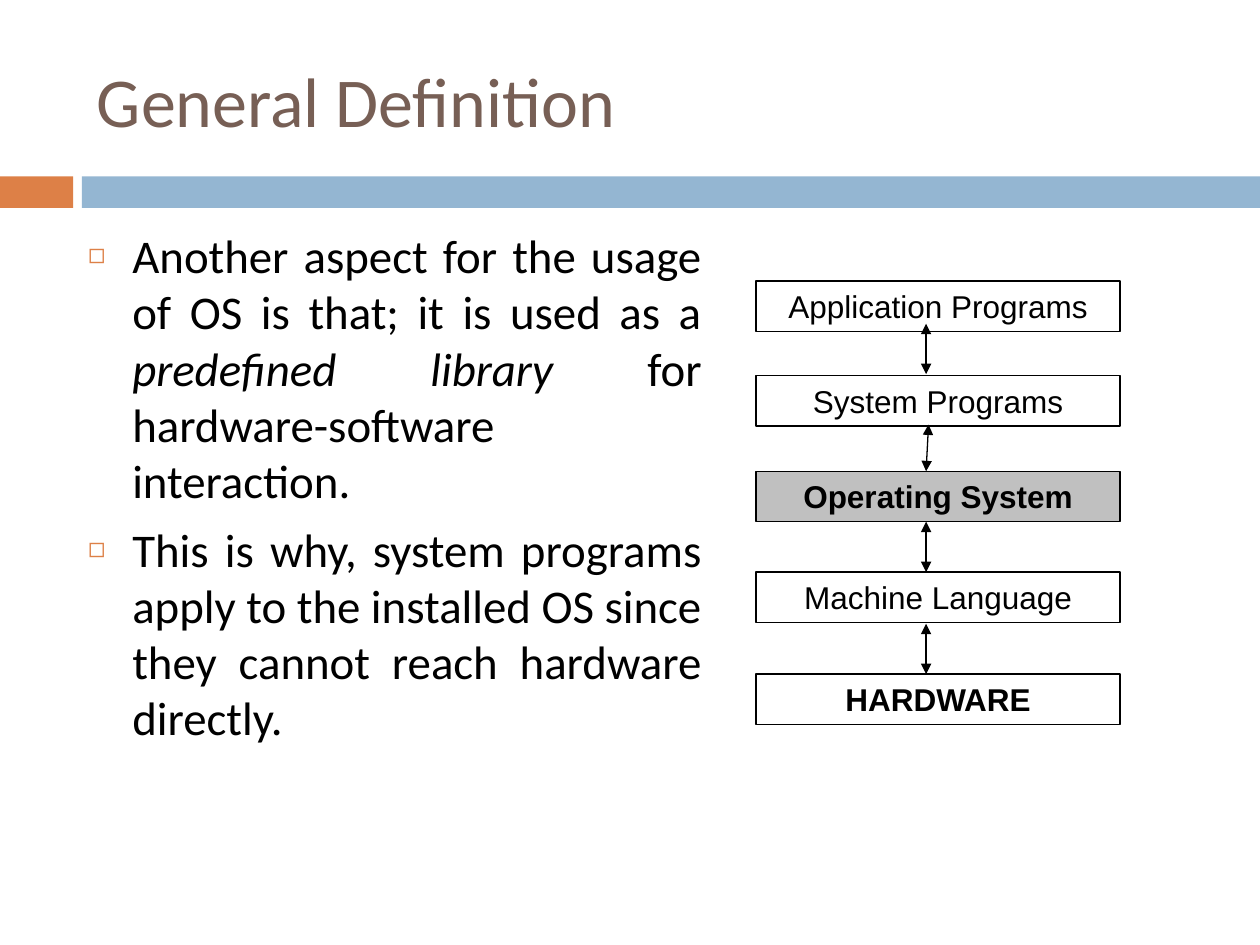
from lxml.etree import SubElement
from pptx import Presentation
from pptx.dml.color import RGBColor
from pptx.enum.shapes import MSO_CONNECTOR as Connector, MSO_SHAPE as Shape
from pptx.enum.text import MSO_ANCHOR as Anchor, MSO_AUTO_SIZE as AutoSize, PP_ALIGN as Align
from pptx.oxml.ns import qn
from pptx.util import Pt

COLORS = {"orange": "DD8047", "blue": "94B6D2", "brown": "775F55",
          "black": "000000", "white": "FFFFFF", "gray": "C0C0C0"}

TITLE = "General Definition"
# Each bullet is a list of (text, italic) runs.
BULLETS = [
    [("Another aspect for the usage of OS is that; it is used as a ", False),
     ("predefined library", True),
     (" for hardware-software interaction. ", False)],
    [("This is why, system programs apply to the installed OS since they "
      "cannot reach hardware directly.", False)],
]
# (label, top, fill, bold)
LAYERS = [
    ("Application Programs", 160.6, "white", False),
    ("System Programs", 214.6, "white", False),
    ("Operating System", 269.3, "gray", True),
    ("Machine Language", 326.9, "white", False),
    ("HARDWARE", 385.2, "white", True),
]
# (start x, start y, end x, end y)
ARROWS = [
    (529.2, 185, 529.2, 213.8),
    (530.6, 242.6, 529.2, 269.3),
    (529.2, 298.1, 529.2, 326.9),
    (529.2, 356.4, 529.2, 385.2),
]
# (left, width, colour)
BANDS = [(0, 41.8, "orange"), (46.8, 673.2, "blue")]
BAND_TOP, BAND_HEIGHT = 100.8, 18
LAYER_LEFT, LAYER_WIDTH, LAYER_HEIGHT = 432, 208.1, 28.8
INDENT = 25.2

TITLE_FONT = {"name": "Calibri", "size": Pt(40)}
BODY_FONT = {"name": "Calibri", "size": Pt(26.8)}
LAYER_FONT = {"name": "Arial", "size": Pt(18)}


def rgb(color):
    return RGBColor.from_string(COLORS[color])


def style(run, font, color, **extra):
    for attribute, value in {**font, **extra}.items():
        setattr(run.font, attribute, value)
    run.font.color.rgb = rgb(color)


def place(placeholder, left, top, width, height, anchor):
    bounds = {"left": left, "top": top, "width": width, "height": height}
    for attribute, value in bounds.items():
        setattr(placeholder, attribute, Pt(value))
    frame = placeholder.text_frame
    frame.auto_size = AutoSize.NONE
    frame.vertical_anchor = anchor
    return frame


def add_box(shapes, left, top, width, height, fill):
    box = shapes.add_shape(Shape.RECTANGLE, Pt(left), Pt(top), Pt(width), Pt(height))
    box.shadow.inherit = False
    box.fill.solid()
    box.fill.fore_color.rgb = rgb(fill)
    box.line.fill.background()
    return box


def add_bullet(paragraph):
    """Give the paragraph a hanging indent and a small orange square."""
    properties = paragraph._p.get_or_add_pPr()
    properties.set("marL", str(Pt(INDENT)))
    properties.set("indent", str(-Pt(INDENT)))
    color = SubElement(properties, qn("a:buClr"))
    SubElement(color, qn("a:srgbClr"), val=COLORS["orange"])
    SubElement(properties, qn("a:buSzPct"), val="60000")
    SubElement(properties, qn("a:buChar"), char="◻")


def add_layer(shapes, label, top, fill, bold):
    box = add_box(shapes, LAYER_LEFT, top, LAYER_WIDTH, LAYER_HEIGHT, fill)
    box.line.color.rgb = rgb("black")
    box.line.width = Pt(0.75)
    frame = box.text_frame
    frame.vertical_anchor = Anchor.TOP
    paragraph = frame.paragraphs[0]
    paragraph.alignment = Align.CENTER
    run = paragraph.add_run()
    run.text = label
    style(run, LAYER_FONT, "black", bold=bold)


def add_double_arrow(shapes, *ends):
    arrow = shapes.add_connector(Connector.STRAIGHT, *map(Pt, ends))
    arrow.line.color.rgb = rgb("black")
    arrow.line.width = Pt(0.75)
    outline = arrow.line._get_or_add_ln()
    for end in ("a:headEnd", "a:tailEnd"):
        SubElement(outline, qn(end), type="triangle")
    SubElement(arrow._element.spPr, qn("a:effectLst"))


def main():
    deck = Presentation()
    deck.slide_width, deck.slide_height = Pt(720), Pt(540)
    slide = deck.slides.add_slide(deck.slide_layouts[1])
    title, body = slide.placeholders

    for left, width, color in BANDS:
        add_box(slide.shapes, left, BAND_TOP, width, BAND_HEIGHT, color)

    heading = place(title, 48.2, 18, 642.2, 77.8, Anchor.MIDDLE).paragraphs[0]
    heading.alignment = Align.LEFT
    run = heading.add_run()
    run.text = TITLE
    style(run, TITLE_FONT, "brown")

    frame = place(body, 43.2, 126, 365, 342, Anchor.TOP)
    for index, parts in enumerate(BULLETS):
        paragraph = frame.add_paragraph() if index else frame.paragraphs[0]
        paragraph.alignment = Align.JUSTIFY
        paragraph.space_before = Pt(7)
        add_bullet(paragraph)
        for text, italic in parts:
            run = paragraph.add_run()
            run.text = text
            style(run, BODY_FONT, "black", italic=italic)

    diagram = slide.shapes.add_group_shape().shapes
    for layer in LAYERS:
        add_layer(diagram, *layer)
    for ends in ARROWS:
        add_double_arrow(diagram, *ends)

    deck.save("out.pptx")


if __name__ == "__main__":
    main()
